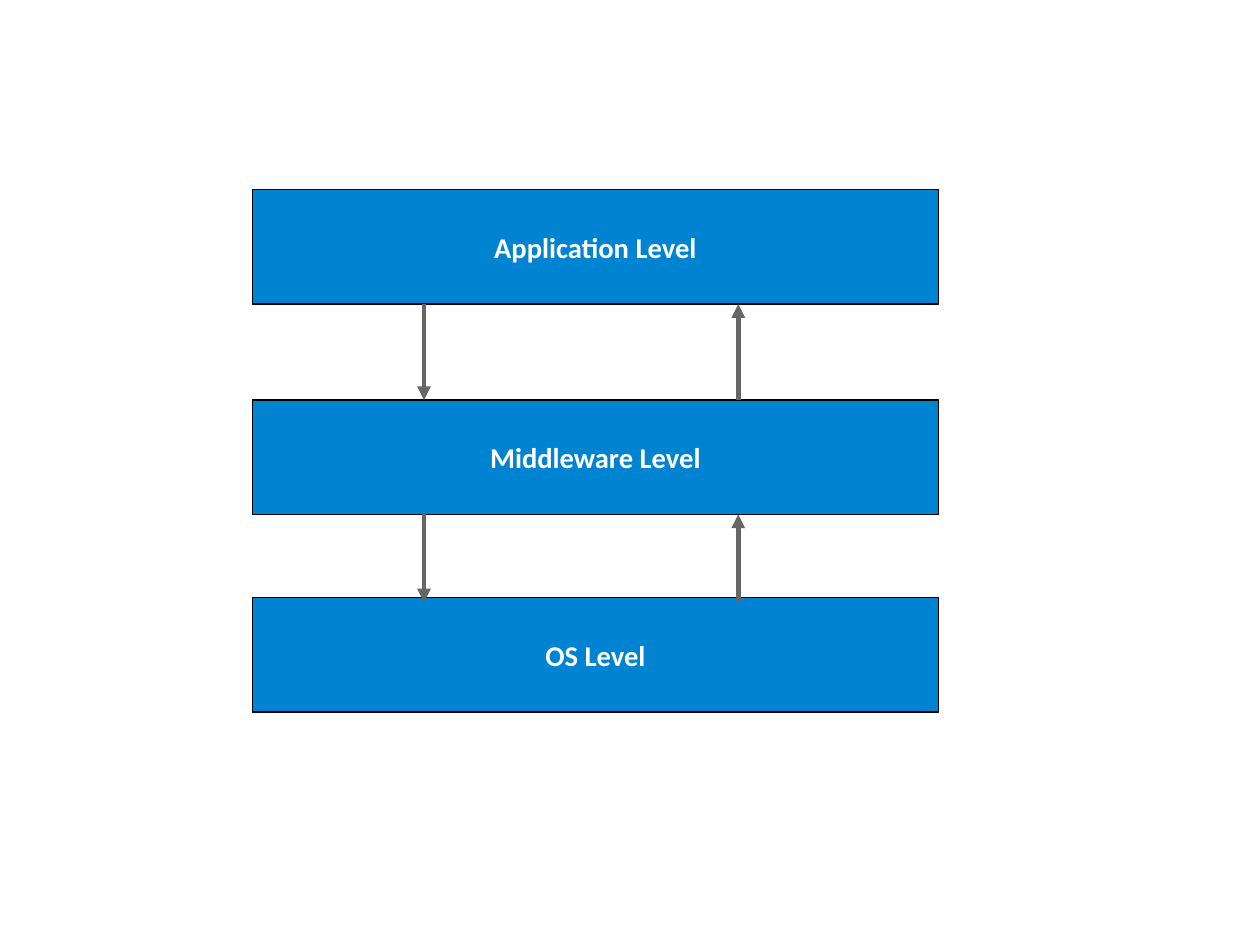
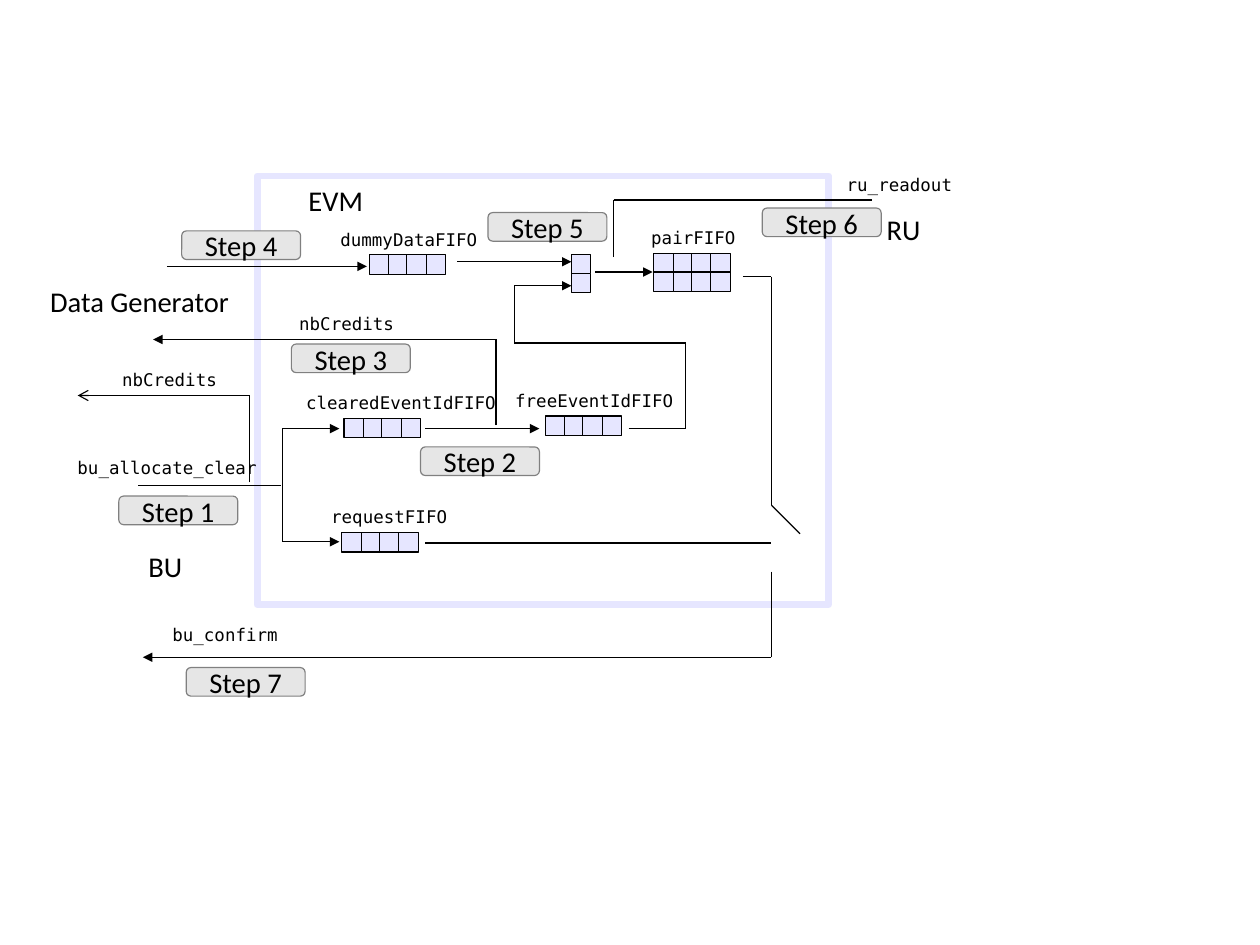
import dataclasses
import itertools
import typing

import pptx
import pptx.dml.color
import pptx.enum.shapes
import pptx.enum.text
import pptx.oxml
import pptx.oxml.ns
import pptx.shapes.autoshape
import pptx.slide
import pptx.util

# Scale: 100 px to the inch; the page itself is 28 by 21 cm
EMU_PER_PX = 9144
SLIDE_WIDTH = pptx.util.Emu(10080625)
SLIDE_HEIGHT = pptx.util.Emu(7559675)

# Colours
BLACK = pptx.dml.color.RGBColor(0x00, 0x00, 0x00)
WHITE = pptx.dml.color.RGBColor(0xFF, 0xFF, 0xFF)
BLUE = pptx.dml.color.RGBColor(0x00, 0x84, 0xD1)
DARK_GREY = pptx.dml.color.RGBColor(0x66, 0x66, 0x66)
MID_GREY = pptx.dml.color.RGBColor(0x80, 0x80, 0x80)
LIGHT_GREY = pptx.dml.color.RGBColor(0xE6, 0xE6, 0xE6)
LAVENDER = pptx.dml.color.RGBColor(0xE6, 0xE6, 0xFF)

RECTANGLE = pptx.enum.shapes.MSO_SHAPE.RECTANGLE
ROUNDED = pptx.enum.shapes.MSO_SHAPE.ROUNDED_RECTANGLE
THIN_LINE = 0.75

Point = tuple[int, int]


@dataclasses.dataclass(frozen=True)
class TextStyle:
    font: str
    size: int
    color: pptx.dml.color.RGBColor
    spacing: float
    height: int = 0
    bold: bool = False


@dataclasses.dataclass(frozen=True)
class BoxStyle:
    preset: pptx.enum.shapes.MSO_SHAPE
    fill: pptx.dml.color.RGBColor | None
    line: pptx.dml.color.RGBColor
    line_width: float = THIN_LINE


@dataclasses.dataclass(frozen=True)
class Label:
    text: str
    left: int
    top: int
    width: int
    style: TextStyle


@dataclasses.dataclass(frozen=True)
class Fifo:
    left: int
    top: int
    name: str = ""
    name_left: int = 0
    name_width: int = 0
    columns: int = 4
    rows: int = 1


@dataclasses.dataclass(frozen=True)
class Route:
    points: tuple[Point, ...]
    head: str = ""


LEVEL_TEXT = TextStyle("Calibri", 18, WHITE, 1.02, bold=True)
PLAIN_TEXT = TextStyle("Calibri", 18, BLACK, 1.02, height=40)
TITLE_TEXT = dataclasses.replace(PLAIN_TEXT, spacing=1.0)
CODE_TEXT = TextStyle("DejaVu Sans Mono", 11, BLACK, 0.98, height=28)

LEVEL_BOX = BoxStyle(RECTANGLE, BLUE, BLACK)
FRAME_BOX = BoxStyle(RECTANGLE, None, LAVENDER, 4.31)
CELL_BOX = BoxStyle(RECTANGLE, LAVENDER, BLACK)
STEP_BOX = BoxStyle(ROUNDED, LIGHT_GREY, MID_GREY)

# Levels slide
LEVEL_LEFT, LEVEL_WIDTH, LEVEL_HEIGHT = 221, 600, 100
LEVELS = (("Application Level", 166), ("Middleware Level", 350), ("OS Level", 523))
DOWN_X, UP_X = 371, 646
LEVEL_GAPS = ((266, 350), (450, 527))
LEVEL_ARROW_WIDTH = 2.89

# Event manager slide
FRAME = (225, 154, 500, 375)
CELL_SIZE, ROW_STEP, NAME_RISE = 17, 16, 27
COLUMN_STEP = 50 / 3
STEP_WIDTH, STEP_HEIGHT = 104, 25

FIFOS = (
    Fifo(301, 366, "clearedEventIdFIFO", 258, 173),
    Fifo(477, 364, "freeEventIdFIFO", 441, 147),
    Fifo(299, 466, "requestFIFO", 280, 113),
    Fifo(572, 222, "pairFIFO", 560, 87, rows=2),
    Fifo(323, 223, "dummyDataFIFO", 288, 130),
    Fifo(500, 223, columns=1, rows=2),
)

ROUTES = (
    # Allocate and clear, split to two FIFOs
    Route(((121, 425), (246, 425))),
    Route(((247, 425), (247, 375), (297, 375)), "triangle"),
    Route(((247, 425), (247, 474), (297, 474)), "triangle"),
    # Cleared to free event ids, and the credits given back
    Route(((372, 375), (472, 375)), "triangle"),
    Route(((434, 372), (434, 297), (134, 297)), "triangle"),
    Route(((218, 422), (218, 346), (68, 346)), "arrow"),
    # Data and event ids into pairs
    Route(((146, 233), (321, 233)), "triangle"),
    Route(((400, 229), (500, 229)), "triangle"),
    Route(((550, 375), (600, 375), (600, 300), (450, 300), (450, 250), (500, 250)),
          "triangle"),
    Route(((521, 238), (571, 238)), "triangle"),
    # Readout, switch and confirmation
    Route(((537, 225), (537, 175), (763, 175))),
    Route(((650, 242), (675, 242), (675, 442), (700, 467))),
    Route(((372, 475), (675, 475))),
    Route(((675, 500), (675, 575), (125, 575)), "triangle"),
)

LABELS = (
    Label("bu_allocate_clear", 58, 396, 164, CODE_TEXT),
    Label("bu_confirm", 141, 542, 105, CODE_TEXT),
    Label("nbCredits", 252, 270, 96, CODE_TEXT),
    Label("nbCredits", 97, 319, 96, CODE_TEXT),
    Label("ru_readout", 731, 148, 105, CODE_TEXT),
    Label("BU", 120, 475, 49, PLAIN_TEXT),
    Label("Data Generator", 34, 243, 177, PLAIN_TEXT),
    Label("RU", 766, 180, 49, PLAIN_TEXT),
    Label("EVM", 260, 155, 68, TITLE_TEXT),
)

# Top left corners, in order of the step number
STEP_CORNERS = (
    (104, 434), (368, 391), (255, 301), (159, 202), (427, 186), (667, 182), (163, 584),
)


def px(length: float) -> pptx.util.Emu:
    return pptx.util.Emu(round(length * EMU_PER_PX))


def write_text(shape: pptx.shapes.autoshape.Shape, text: str, style: TextStyle,
               centred: bool) -> None:
    frame = shape.text_frame
    frame.word_wrap = False
    frame.auto_size = pptx.enum.text.MSO_AUTO_SIZE.NONE
    anchor, align = pptx.enum.text.MSO_ANCHOR, pptx.enum.text.PP_ALIGN
    frame.vertical_anchor = anchor.MIDDLE if centred else anchor.TOP
    paragraph = frame.paragraphs[0]
    paragraph.alignment = align.CENTER if centred else align.LEFT
    paragraph.line_spacing = style.spacing
    run = paragraph.add_run()
    run.text = text
    run.font.name = style.font
    run.font.size = pptx.util.Pt(style.size)
    run.font.bold = style.bold
    run.font.color.rgb = style.color


def draw_box(shapes: typing.Any, left: float, top: float, width: int, height: int,
             style: BoxStyle) -> pptx.shapes.autoshape.Shape:
    shape = shapes.add_shape(style.preset, px(left), px(top), px(width), px(height))
    shape.shadow.inherit = False
    if style.fill is None:
        shape.fill.background()
    else:
        shape.fill.solid()
        shape.fill.fore_color.rgb = style.fill
    shape.line.color.rgb = style.line
    shape.line.width = pptx.util.Pt(style.line_width)
    return shape


def draw_label(shapes: typing.Any, label: Label) -> None:
    shape = shapes.add_textbox(px(label.left), px(label.top), px(label.width),
                               px(label.style.height))
    write_text(shape, label.text, label.style, centred=False)


def draw_line(slide: pptx.slide.Slide, start: Point, end: Point,
              color: pptx.dml.color.RGBColor, width: float, head: str) -> None:
    connector = slide.shapes.add_connector(
        pptx.enum.shapes.MSO_CONNECTOR.STRAIGHT, *map(px, (*start, *end)))
    connector.line.color.rgb = color
    connector.line.width = pptx.util.Pt(width)
    properties = connector.element.spPr
    if head:
        tail = pptx.oxml.parse_xml(
            f'<a:tailEnd {pptx.oxml.ns.nsdecls("a")} type="{head}"/>')
        properties.find(pptx.oxml.ns.qn("a:ln")).append(tail)
    properties.append(
        pptx.oxml.parse_xml(f'<a:effectLst {pptx.oxml.ns.nsdecls("a")}/>'))


def draw_fifo(slide: pptx.slide.Slide, fifo: Fifo) -> None:
    """Draw the cells and the name as one group."""
    shapes = slide.shapes.add_group_shape().shapes
    for row, column in itertools.product(range(fifo.rows), range(fifo.columns)):
        draw_box(shapes, fifo.left + round(column * COLUMN_STEP),
                 fifo.top + row * ROW_STEP, CELL_SIZE, CELL_SIZE, CELL_BOX)
    if fifo.name:
        draw_label(shapes, Label(fifo.name, fifo.name_left, fifo.top - NAME_RISE,
                                 fifo.name_width, CODE_TEXT))


def draw_route(slide: pptx.slide.Slide, route: Route) -> None:
    last = route.points[-1]
    for start, end in itertools.pairwise(route.points):
        head = route.head if end == last else ""
        draw_line(slide, start, end, BLACK, THIN_LINE, head)


def build_levels(slide: pptx.slide.Slide) -> None:
    for name, top in LEVELS:
        box = draw_box(slide.shapes, LEVEL_LEFT, top, LEVEL_WIDTH, LEVEL_HEIGHT,
                       LEVEL_BOX)
        write_text(box, name, LEVEL_TEXT, centred=True)
    for upper, lower in LEVEL_GAPS:
        for x, start, end in ((DOWN_X, upper, lower), (UP_X, lower, upper)):
            draw_line(slide, (x, start), (x, end), DARK_GREY, LEVEL_ARROW_WIDTH,
                      "triangle")


def build_event_manager(slide: pptx.slide.Slide) -> None:
    draw_box(slide.shapes, *FRAME, FRAME_BOX)
    for fifo in FIFOS:
        draw_fifo(slide, fifo)
    for route in ROUTES:
        draw_route(slide, route)
    for label in LABELS:
        draw_label(slide.shapes, label)
    for number, (left, top) in enumerate(STEP_CORNERS, start=1):
        box = draw_box(slide.shapes, left, top, STEP_WIDTH, STEP_HEIGHT, STEP_BOX)
        write_text(box, f"Step {number}", PLAIN_TEXT, centred=True)


def main() -> None:
    presentation = pptx.Presentation()
    presentation.slide_width = SLIDE_WIDTH
    presentation.slide_height = SLIDE_HEIGHT
    blank_layout = presentation.slide_layouts[6]
    for build in (build_levels, build_event_manager):
        build(presentation.slides.add_slide(blank_layout))
    presentation.save("out.pptx")


if __name__ == "__main__":
    main()
